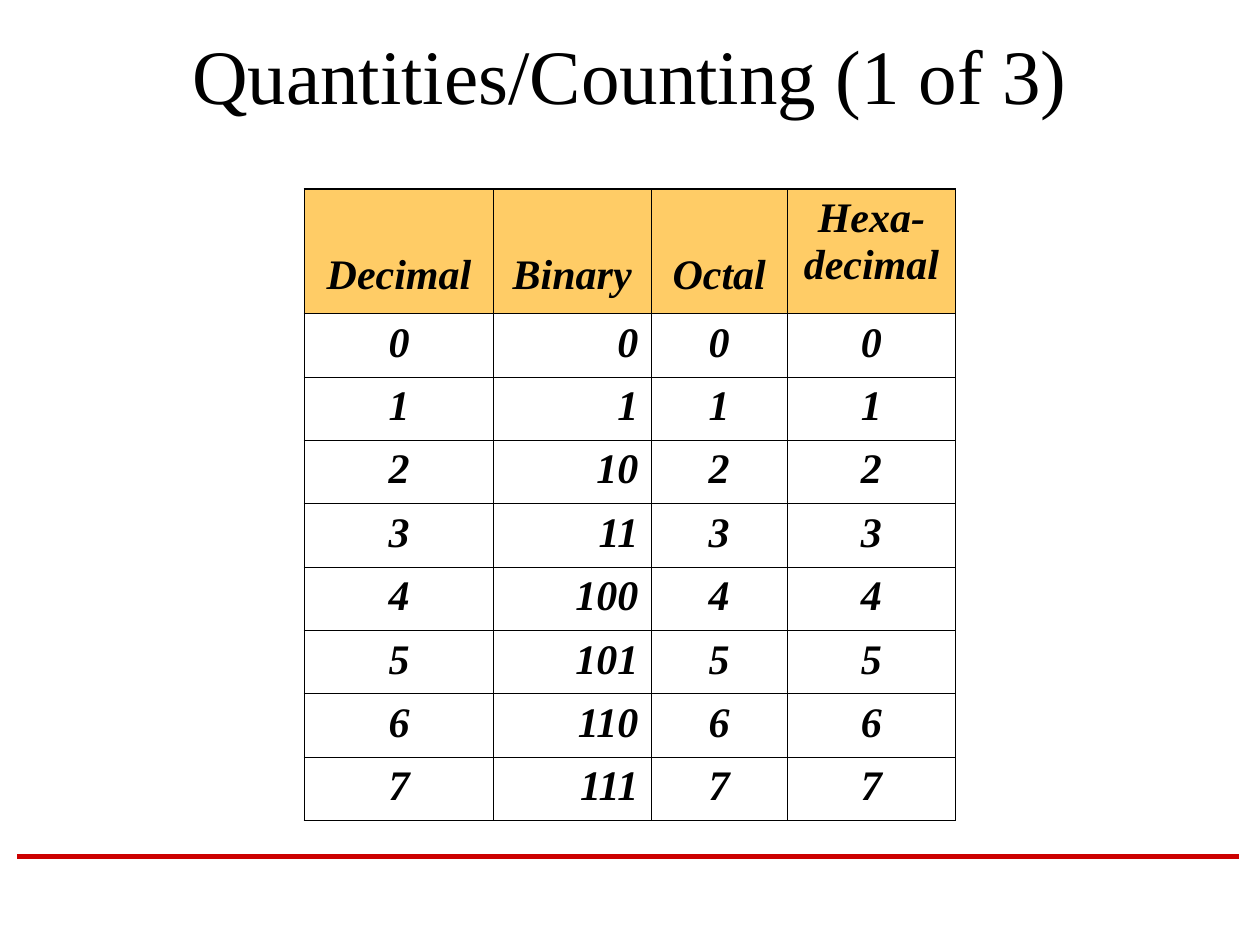
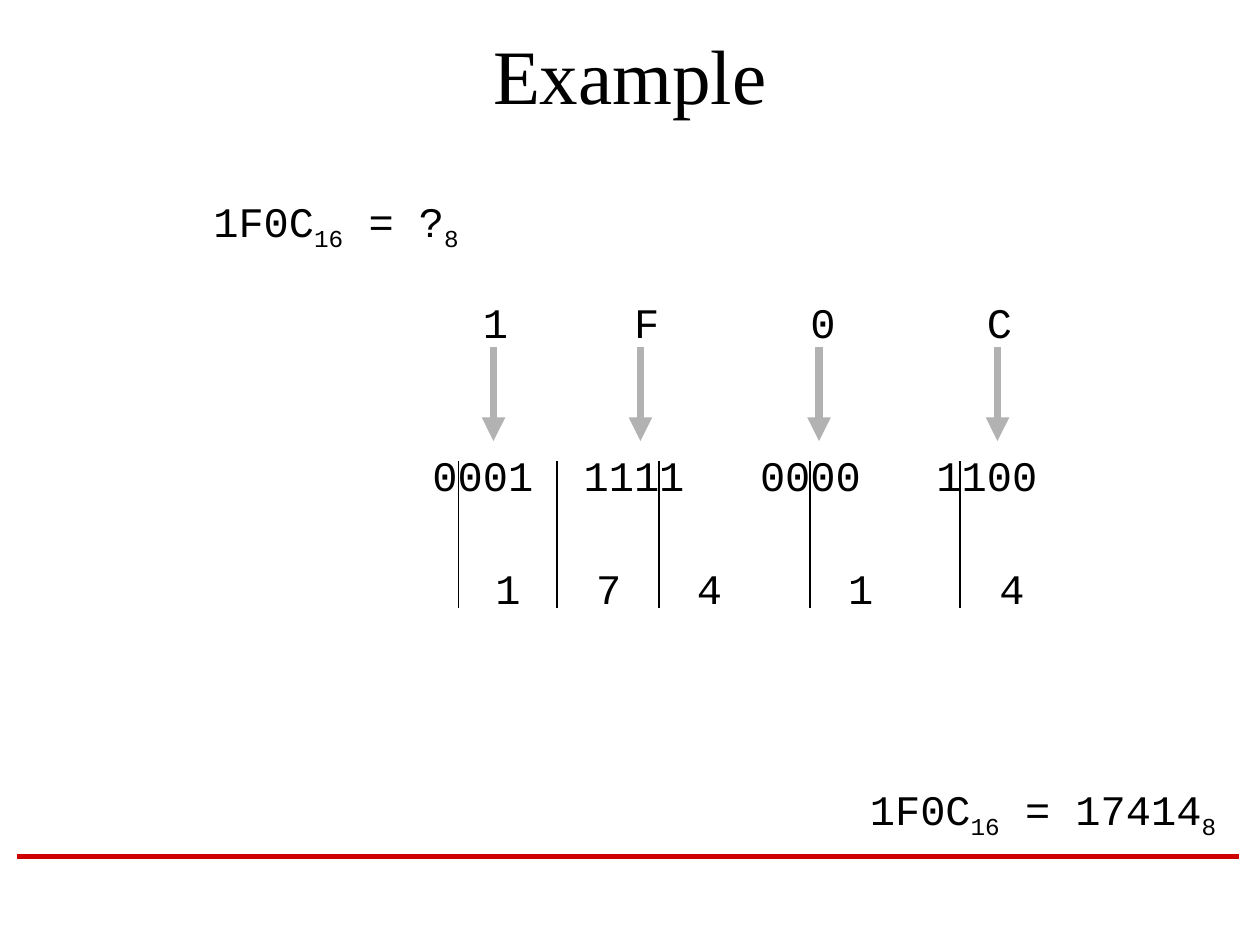
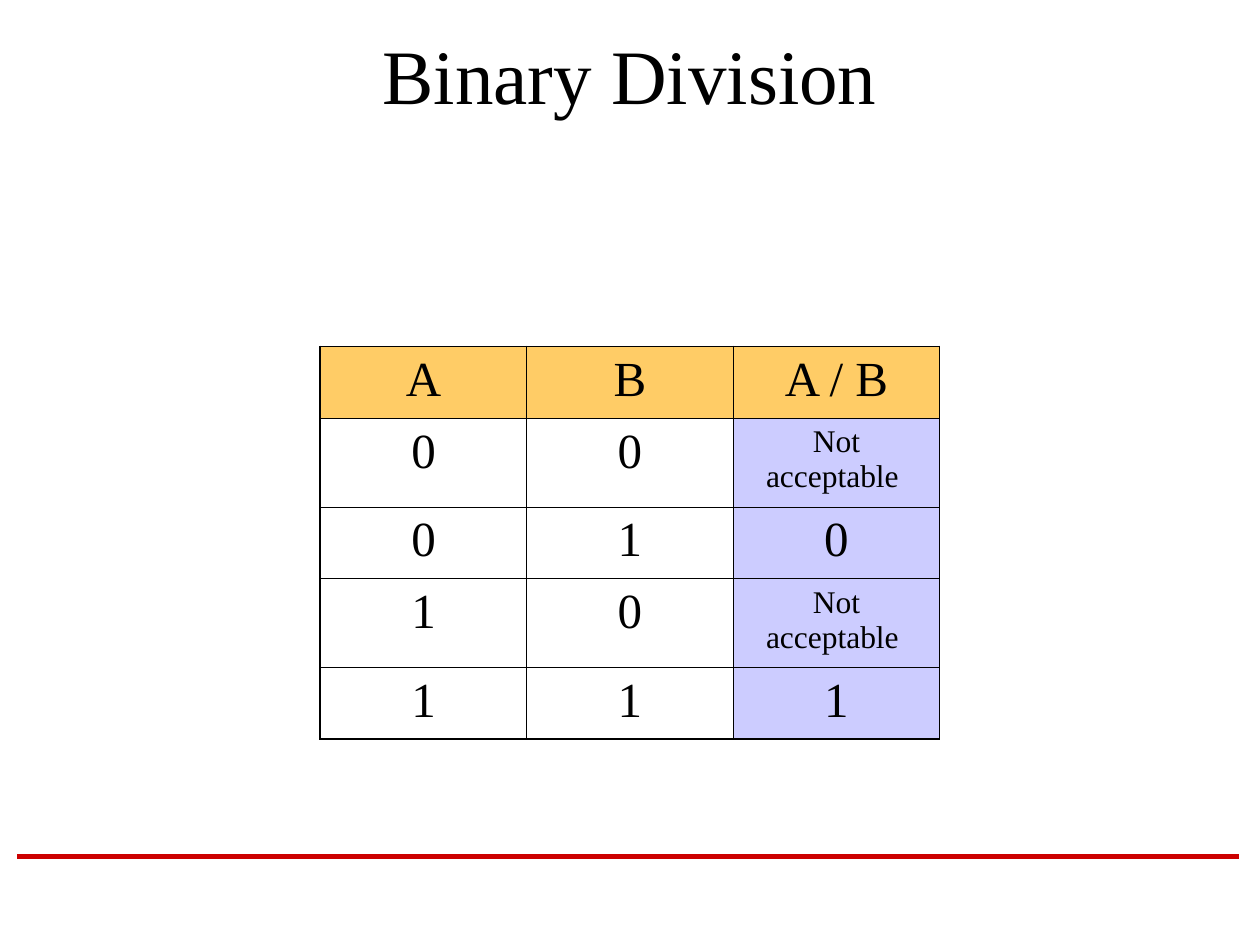
from pptx import Presentation
from pptx.dml.color import RGBColor
from pptx.enum import shapes, text
from pptx.oxml import parse_xml
from pptx.oxml.ns import nsdecls, qn
from pptx.util import Pt

HUES = {"ink": "000000", "rule": "CC0000", "head": "FFCC66",
        "result": "CCCCFF", "arrow": "B2B2B2"}
SERIF, MONO = "Times New Roman", "Courier New"
CHAR = 14.4  # advance of one 24 pt monospaced character
THIN, THICK = 0.45, 1.08
MID, RIGHT = text.PP_ALIGN.CENTER, text.PP_ALIGN.RIGHT


def hue(name):
    return RGBColor.from_string(HUES[name])


def set_font(para, face, size, bold=False):
    font = para.font
    font.name, font.size = face, Pt(size)
    font.bold = font.italic = bold
    font.color.rgb = hue("ink")


def add_line(slide, start, end, color, width, arrow=False):
    line = slide.shapes.add_connector(
        shapes.MSO_CONNECTOR.STRAIGHT, *(Pt(v) for v in start + end))
    line.line.color.rgb = hue(color)
    line.line.width = Pt(width)
    props = line._element.spPr
    if arrow:
        props.find(qn("a:ln")).append(
            parse_xml(f'<a:tailEnd {nsdecls("a")} type="triangle"/>'))
    props.append(parse_xml(f'<a:effectLst {nsdecls("a")}/>'))


def new_slide(deck, name):
    """Title and red rule, shared by every slide."""
    slide = deck.slides.add_slide(deck.slide_layouts[5])
    add_line(slide, (10, 489.6), (708, 489.6), "rule", 3)
    title = slide.shapes.title
    title.left, title.top, title.width, title.height = map(Pt, (54, 12, 612, 60))
    frame = title.text_frame
    frame.text = name
    frame.auto_size = text.MSO_AUTO_SIZE.NONE
    frame.vertical_anchor = text.MSO_ANCHOR.MIDDLE
    frame.paragraphs[0].alignment = MID
    set_font(frame.paragraphs[0], SERIF, 44)
    return slide


# Tables

def set_edges(cell, row, col, rows, cols):
    """Thick lines around the table, thin lines inside."""
    outer = {"L": col == 0, "R": col == cols - 1,
             "T": row == 0, "B": row == rows - 1}
    props = cell._tc.get_or_add_tcPr()
    for at, (side, thick) in enumerate(outer.items()):
        width = Pt(THICK if thick else THIN)
        props.insert(at, parse_xml(
            f'<a:ln{side} {nsdecls("a")} w="{width}"><a:solidFill>'
            f'<a:srgbClr val="{HUES["ink"]}"/></a:solidFill></a:ln{side}>'))


def add_grid(slide, left, top, widths, heights, data, style):
    """Place a table; style(cell, row, col) formats each cell."""
    rows, cols = len(heights), len(widths)
    grid = slide.shapes.add_table(
        rows, cols, Pt(left), Pt(top), Pt(sum(widths)), Pt(sum(heights))).table
    grid.first_row = grid.horz_banding = False
    for col, width in enumerate(widths):
        grid.columns[col].width = Pt(width)
    for row, height in enumerate(heights):
        grid.rows[row].height = Pt(height)
        for col in range(cols):
            cell = grid.cell(row, col)
            cell.text = data[row][col]
            cell.text_frame.paragraphs[0].alignment = MID
            style(cell, row, col)
            set_edges(cell, row, col, rows, cols)


def fill_cell(cell, color):
    if color:
        cell.fill.solid()
        cell.fill.fore_color.rgb = hue(color)
    else:
        cell.fill.background()


def style_count(cell, row, col):
    para = cell.text_frame.paragraphs[0]
    set_font(para, SERIF, 24, True)
    fill_cell(cell, None if row else "head")
    if row and col == 1:
        para.alignment = RIGHT
    if row == 0 and col < 3:
        cell.vertical_anchor = text.MSO_ANCHOR.BOTTOM
        cell.margin_bottom = Pt(8.7)


def style_divide(cell, row, col):
    size = 18 if cell.text.startswith("Not") else 28
    set_font(cell.text_frame.paragraphs[0], SERIF, size)
    fill_cell(cell, "head" if row == 0 else "result" if col == 2 else None)


def count_slide(deck):
    slide = new_slide(deck, "Quantities/Counting (1 of 3)")
    data = [("Decimal", "Binary", "Octal", "Hexa-\vdecimal")]
    data += [(str(n), f"{n:b}", f"{n:o}", f"{n:X}") for n in range(8)]
    add_grid(slide, 174, 108, (108, 90, 78, 96), [71.2] + [36.2] * 8,
             data, style_count)


def divide_slide(deck):
    slide = new_slide(deck, "Binary Division")
    bad = "Not acceptable "
    data = [("A", "B", "A / B"), ("0", "0", bad), ("0", "1", "0"),
            ("1", "0", bad), ("1", "1", "1")]
    add_grid(slide, 183, 198, [118] * 3, (41.1, 50.6, 41.1, 50.6, 41.1),
             data, style_divide)


# Conversion example

def add_mono(slide, box, count=1):
    """A text box for monospaced paragraphs; returns the paragraphs."""
    frame = slide.shapes.add_textbox(*map(Pt, box)).text_frame
    frame.word_wrap = True
    for _ in range(count - 1):
        frame.add_paragraph()
    return frame.paragraphs


def add_sum(slide, box, align, value):
    para = add_mono(slide, box)[0]
    para.alignment = align
    for part, low in (("1F0C", 0), ("16", 1), (f" = {value}", 0), ("8", 1)):
        run = para.add_run()
        run.text = part
        if low:
            run.font._element.set("baseline", "-25000")
    set_font(para, MONO, 24)


def set_row(para, items, spots):
    """Put each item at a character column, by tab stops."""
    stops = "".join(f'<a:tab pos="{Pt(spot * CHAR)}" algn="l"/>'
                    for spot in spots if spot)
    para._p.get_or_add_pPr().append(
        parse_xml(f'<a:tabLst {nsdecls("a")}>{stops}</a:tabLst>'))
    lead = "\t" if spots[0] else ""
    para.add_run().text = lead + "\t".join(items)
    set_font(para, MONO, 24)


def add_steps(slide, left, top):
    # Hexadecimal digits over their bits
    digits, bits = add_mono(slide, (left, top, 384, 220), 2)
    set_row(digits, "1F0C", (2, 8, 15, 22))
    set_row(bits, ("0001", "1111", "0000", "1100"), (0, 6, 13, 20))
    bits.space_before = Pt(59)
    for x in (42, 126, 228, 330):
        add_line(slide, (left + x, top + 32.4), (left + x, top + 86.4),
                 "arrow", 4.5, True)
    # Octal digits, with the cuts between groups of three bits
    octal = add_mono(slide, (left + 36, top + 152.6, 333, 36))[0]
    set_row(octal, "17414", (0, 4, 8, 14, 20))
    for x in (22, 78.2, 136.6, 223, 308.6):
        add_line(slide, (left + x, top + 98), (left + x, top + 182), "ink", 1)


def example_slide(deck):
    slide = new_slide(deck, "Example")
    add_sum(slide, (24, 108, 336, 40), MID, "?")
    add_steps(slide, 240, 165.6)
    add_sum(slide, (366, 444, 336, 40), RIGHT, "17414")


def main():
    deck = Presentation()
    deck.slide_width, deck.slide_height = Pt(720), Pt(540)
    count_slide(deck)
    example_slide(deck)
    divide_slide(deck)
    deck.save("out.pptx")


if __name__ == "__main__":
    main()
